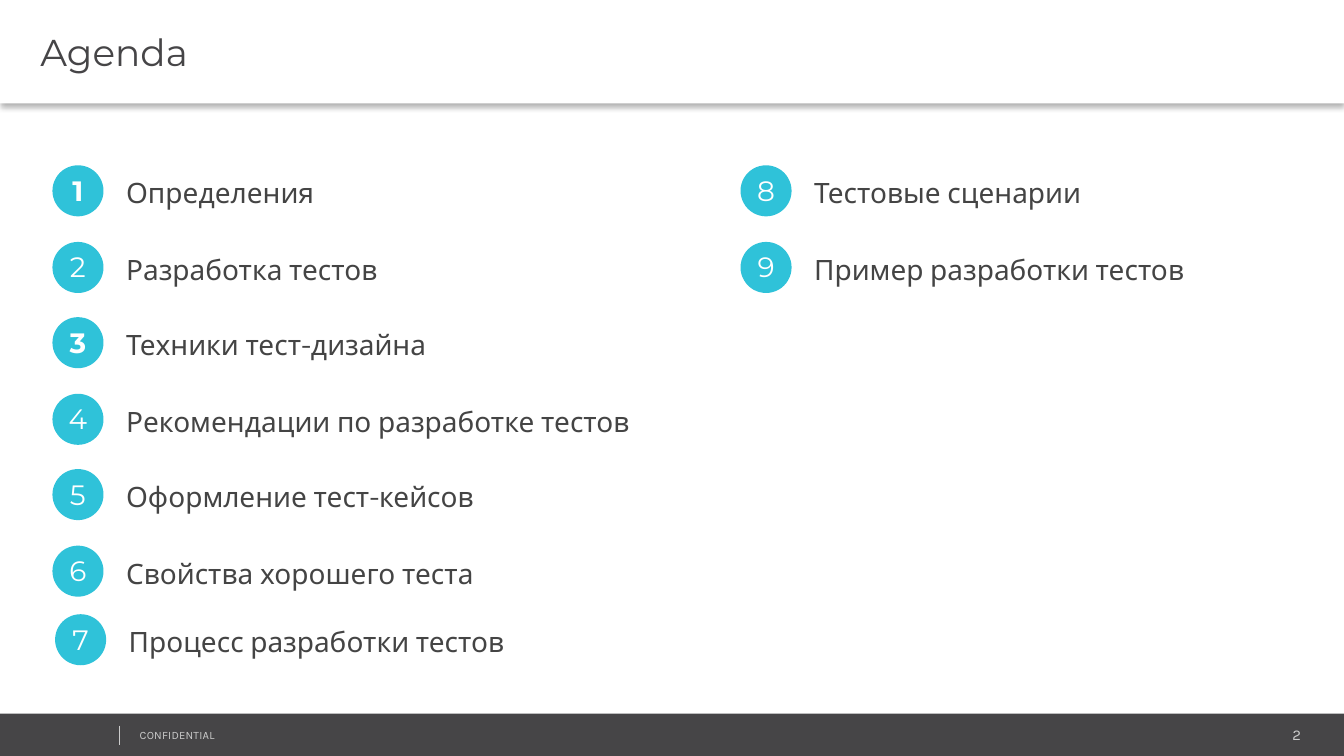
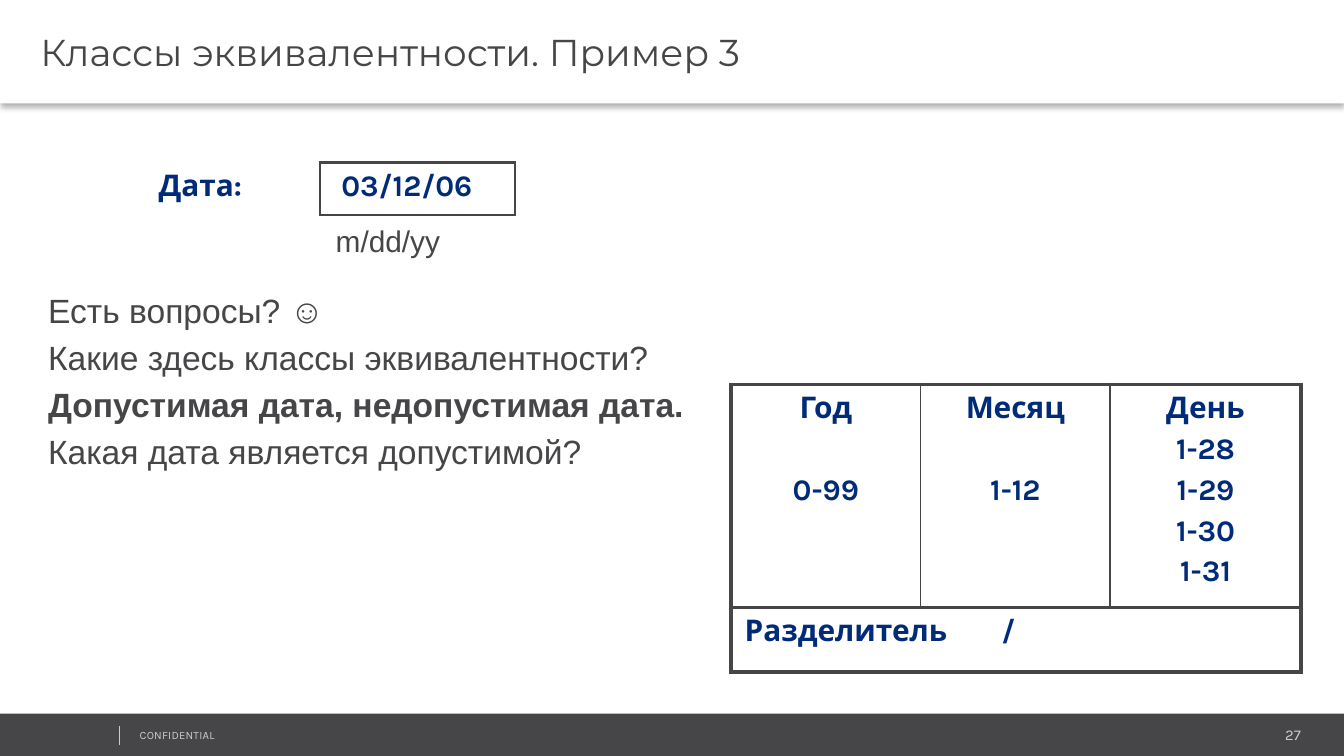
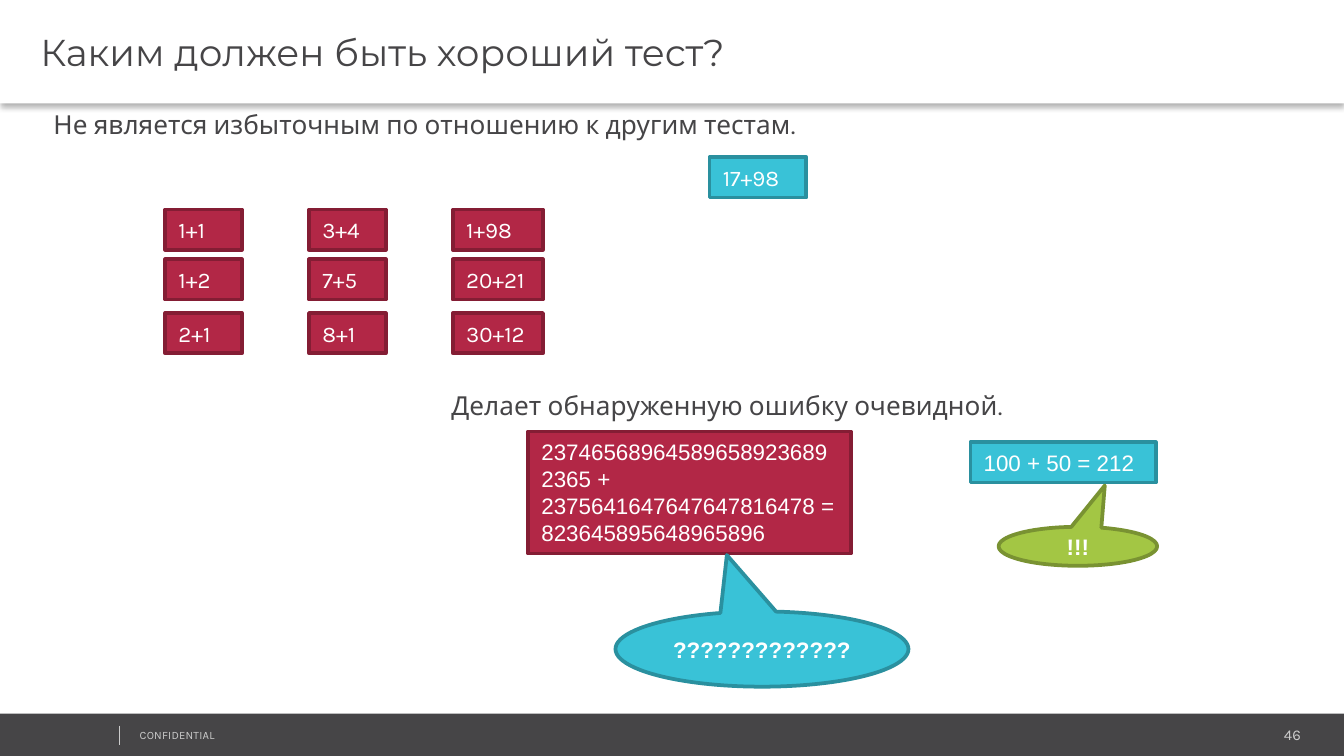
from dataclasses import dataclass, replace
from itertools import product

from lxml import etree
from pptx import Presentation, util as u
from pptx.dml.color import RGBColor
from pptx.enum import shapes as es, text as et
from pptx.oxml import ns

PX = 9144  # EMU in one px, 100 px to the inch
WIDE = 1000  # slide width in px

# Colours
DARK, INK, PALE, WHITE = "464547", "444444", "CCCCCC", "FFFFFF"
AQUA, SKY, TEAL = "2FC2D9", "39C2D7", "2A909F"
RED, WINE = "B22746", "841D34"
LIME, MOSS, NAVY = "A3C644", "799232", "002B78"

LEFT, MID, RIGHT = et.PP_ALIGN.LEFT, et.PP_ALIGN.CENTER, et.PP_ALIGN.RIGHT
RECT, OVAL = es.MSO_SHAPE.RECTANGLE, es.MSO_SHAPE.OVAL
CALL = es.MSO_SHAPE.OVAL_CALLOUT
PLAIN = "{2D5ABB26-0587-4C30-8999-92F81FD0307C}"  # table style without grid


@dataclass(frozen=True)
class Box:
    x: int
    y: int
    w: int
    h: int

    def emu(self) -> tuple:
        return tuple(px(n) for n in (self.x, self.y, self.w, self.h))


@dataclass(frozen=True)
class Font:
    size: int
    face: str = "Karla"
    tint: str = DARK
    bold: bool = False


@dataclass(frozen=True)
class Skin:
    fill: str
    edge: str = ""


@dataclass(frozen=True)
class Item:
    num: int
    label: str
    x: int
    y: int
    bold: bool = False


@dataclass(frozen=True)
class Bubble:
    box: Box
    tip: tuple
    skin: Skin
    label: str


HEAD = Font(20, "Montserrat")
BODY = Font(14)
SUM = Font(12, tint=WHITE)
LONG = replace(SUM, face="Arial")
CELL = Font(16, tint=NAVY, bold=True)
BAD, GOOD, HIT = Skin(RED, WINE), Skin(SKY, TEAL), Skin(LIME, MOSS)
TIGHT = (7, 4, 7, 4)
PAD = (10, 5, 10, 5)


# Basic tools
def px(n: int) -> u.Emu:
    return u.Emu(n * PX)


def tint(code: str) -> RGBColor:
    return RGBColor.from_string(code)


def add(node, tag: str, **attrs):
    return etree.SubElement(node, ns.qn(tag), {k: str(v) for k, v in attrs.items()})


def style(para, font: Font) -> None:
    for run in para.runs:
        run.font.size = u.Pt(font.size)
        run.font.name = font.face
        run.font.bold = font.bold
        run.font.color.rgb = tint(font.tint)


def write(frame, label: str, font: Font, align=LEFT, gap: float = 0) -> None:
    frame.text = label
    for i, para in enumerate(frame.paragraphs):
        para.alignment = align
        if i and gap:
            para.space_before = u.Pt(gap)
        style(para, font)


def inset(frame, pad: tuple) -> None:
    (frame.margin_left, frame.margin_top,
     frame.margin_right, frame.margin_bottom) = map(px, pad)


def note(tree, box: Box, label: str, font: Font, align=LEFT,
         pad: tuple = PAD, wrap: bool = True, gap: float = 0):
    item = tree.add_textbox(*box.emu())
    frame = item.text_frame
    frame.word_wrap = wrap
    inset(frame, pad)
    write(frame, label, font, align, gap)
    return item


def form(tree, kind, box: Box, skin: Skin):
    item = tree.add_shape(kind, *box.emu())
    item.shadow.inherit = False
    item.fill.solid()
    item.fill.fore_color.rgb = tint(skin.fill)
    if skin.edge:
        item.line.color.rgb = tint(skin.edge)
        item.line.width = u.Pt(2)
    else:
        item.line.fill.background()
    return item


def card(tree, box: Box, skin: Skin, label: str, font: Font) -> None:
    frame = form(tree, RECT, box, skin).text_frame
    frame.word_wrap = True
    frame.vertical_anchor = et.MSO_ANCHOR.TOP
    inset(frame, PAD)
    write(frame, label, font)


# Shared frame: footer band and title bar
def base(deck, title: str, num: int):
    tree = deck.slides.add_slide(deck.slide_layouts[6]).shapes
    form(tree, RECT, Box(0, 531, 1001, 33), Skin(DARK))
    note(tree, Box(812, 536, 163, 21), str(num), Font(8, tint=PALE), RIGHT, TIGHT)
    mark = note(tree, Box(97, 538, 253, 18), "CONFIDENTIAL",
                Font(6, tint=PALE), pad=TIGHT)
    mark.text_frame.paragraphs[0].runs[0].font._element.set("spc", "10")

    rule = tree.add_connector(es.MSO_CONNECTOR.STRAIGHT,
                              px(89), px(540), px(89), px(554))
    rule.line.color.rgb = tint(PALE)
    rule.line.width = u.Pt(0.25)
    add(rule._element.spPr, "a:effectLst")

    bar = form(tree, RECT, Box(0, 0, WIDE, 77), Skin(WHITE))
    glow = add(bar._element.spPr.find(ns.qn("a:effectLst")), "a:outerShdw",
               blurRad=u.Pt(3.1), dist=u.Pt(2), dir=5400000,
               algn="t", rotWithShape=0)
    add(add(glow, "a:srgbClr", val="000000"), "a:alpha", val=30000)
    frame = bar.text_frame
    frame.word_wrap = True
    frame.vertical_anchor = et.MSO_ANCHOR.MIDDLE
    inset(frame, (30, 4, 7, 4))
    write(frame, title, HEAD)
    return tree


# Tables
def grid(tree, box: Box, cols: list, rows: list):
    table = tree.add_table(len(rows), len(cols), *box.emu()).table
    table.first_row = table.horz_banding = False
    table._tbl.tblPr[0].text = PLAIN
    for col, wide in zip(table.columns, cols):
        col.width = px(wide)
    for row, tall in zip(table.rows, rows):
        row.height = px(tall)
    return table


def edge(cell, **sides: float) -> None:
    """Draw the sides named L, R, T and B at a width in points."""
    props = cell._tc.get_or_add_tcPr()
    for side in "LRTB":
        if side in sides:
            line = add(props, f"a:ln{side}", w=u.Pt(sides[side]))
            add(add(line, "a:solidFill"), "a:srgbClr", val=DARK)
    cell.fill.background()


# Slide: agenda
def point(tree, item: Item) -> None:
    part = tree.add_group_shape().shapes
    x, y = item.x, item.y
    note(part, Box(x + 45, y + 3, 406, 35), item.label, Font(15, tint=INK))
    form(part, OVAL, Box(x, y, 38, 38), Skin(AQUA))
    note(part, Box(x + 2, y + 3, 34, 33), str(item.num),
         Font(15, "Montserrat", WHITE, item.bold), MID, (10, 3, 10, 5), False)


def agenda(deck) -> None:
    tree = base(deck, "Agenda", 2)
    left = ["Определения", "Разработка тестов", "Техники тест-дизайна",
            "Рекомендации по разработке тестов", "Оформление тест-кейсов",
            "Свойства хорошего теста"]
    right = ["Тестовые сценарии", "Пример разработки тестов"]
    for x, first, names in ((39, 1, left), (551, 8, right)):
        for i, name in enumerate(names):
            num = first + i
            point(tree, Item(num, name, x, 123 + (113 * i + 1) // 2, num in (1, 3)))
    point(tree, Item(7, "Процесс разработки тестов", 41, 457))


# Slide: equivalence classes
def classes(deck) -> None:
    tree = base(deck, "Классы эквивалентности. Пример 3", 27)

    date = grid(tree, Box(108, 121, 275, 39), [130, 145], [39])
    name, value = date.cell(0, 0), date.cell(0, 1)
    write(name.text_frame, "Дата:", CELL)
    write(value.text_frame, "03/12/06", CELL)
    value.margin_left = px(16)
    edge(name, R=1.5)
    edge(value, L=1.5, R=1.5, T=1.5, B=1.5)

    asks = note(tree, Box(26, 211, 519, 154), "\n".join([
        "Есть вопросы? ☺", "Какие здесь классы эквивалентности?",
        "Допустимая дата, недопустимая дата.",
        "Какая дата является допустимой?"]), Font(18, "Arial"), gap=3.6)
    asks.text_frame.paragraphs[2].runs[0].font.bold = True
    note(tree, Box(240, 161, 110, 37), "m/dd/yy", Font(16, "Arial"))

    parts = grid(tree, Box(544, 286, 424, 214), [141, 141, 142], [166, 48])
    tops = [("Год\n0-99", 25.5), ("Месяц\n1-12", 25.5),
            ("День\n1-28\n1-29\n1-30\n1-31", 3.2)]
    last = len(tops) - 1
    for i, (label, gap) in enumerate(tops):
        cell = parts.cell(0, i)
        write(cell.text_frame, label, CELL, MID, gap)
        edge(cell, L=1 if i else 2.25, R=1 if i < last else 2.25, T=2.25, B=2.25)
        edge(parts.cell(1, i), L=2.25, R=2.25, T=2.25, B=2.25)
    foot = parts.cell(1, 0)
    foot.merge(parts.cell(1, last))
    write(foot.text_frame, "Разделитель\t/", CELL)
    props = foot.text_frame.paragraphs[0]._p.get_or_add_pPr()
    add(add(props, "a:tabLst"), "a:tab", pos=px(191), algn="l")


# Slide: a good test
def quality(deck) -> None:
    tree = base(deck, "Каким должен быть хороший тест?", 46)

    spare = tree.add_group_shape().shapes
    note(spare, Box(30, 76, 593, 34),
         "Не является избыточным по отношению к другим тестам.", BODY)
    sums = ["1+1", "3+4", "1+98", "1+2", "7+5", "20+21", "2+1", "8+1", "30+12"]
    cols = [(123, 57), (230, 57), (337, 67)]
    for (y, (x, w)), label in zip(product((156, 193, 233), cols), sums):
        card(spare, Box(x, y, w, 30), BAD, label, SUM)
    card(spare, Box(528, 117, 72, 30), GOOD, "17+98", SUM)

    clear = tree.add_group_shape().shapes
    note(clear, Box(326, 285, 500, 34),
         "Делает обнаруженную ошибку очевидной.", BODY)
    card(clear, Box(393, 321, 240, 91), BAD,
         "237465689645896589236892365 + 2375641647647647816478 = "
         "823645895648965896", LONG)
    card(clear, Box(722, 329, 138, 30), GOOD, "100 + 50 = 212", LONG)
    for talk in (Bubble(Box(458, 455, 218, 56), (-0.12, -1.25), GOOD, "?" * 13),
                 Bubble(Box(743, 392, 118, 29), (0.17, -1.56), HIT, "!!!")):
        item = form(clear, CALL, talk.box, talk.skin)
        item.adjustments[0], item.adjustments[1] = talk.tip
        item.text_frame.word_wrap = True
        item.text_frame.vertical_anchor = et.MSO_ANCHOR.MIDDLE
        write(item.text_frame, talk.label, replace(LONG, bold=True), MID)


def main() -> None:
    deck = Presentation()
    deck.slide_width = px(WIDE)
    deck.slide_height = px(WIDE) * 9 // 16
    agenda(deck)
    classes(deck)
    quality(deck)
    deck.save("out.pptx")


if __name__ == "__main__":
    main()
